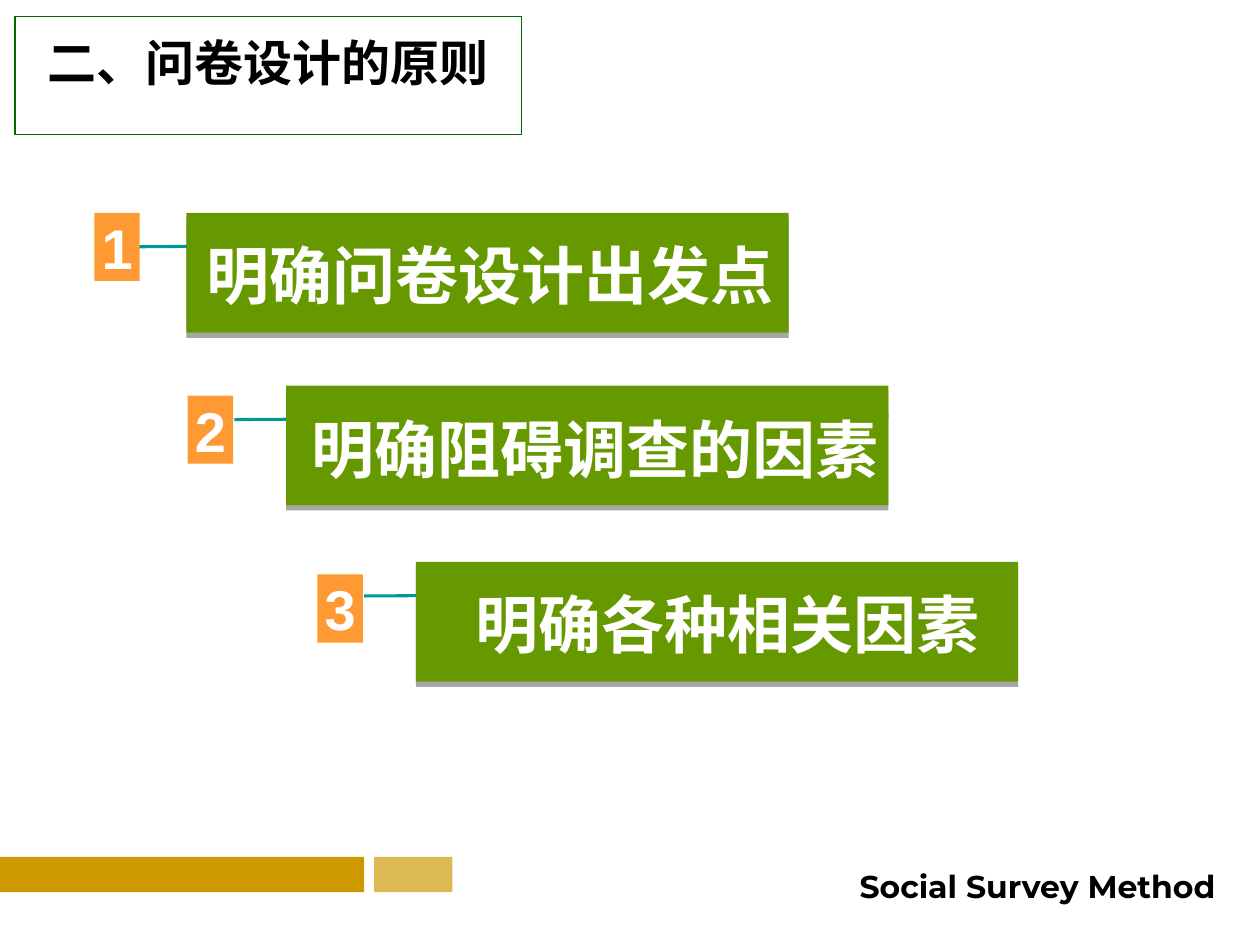
"""Build the slide on the principles of questionnaire design."""
from lxml import etree
from pptx import Presentation
from pptx.dml.color import RGBColor
from pptx.enum.shapes import MSO_CONNECTOR, MSO_SHAPE
from pptx.enum.text import MSO_ANCHOR, MSO_AUTO_SIZE, PP_ALIGN
from pptx.oxml import parse_xml
from pptx.oxml.ns import nsdecls, qn
from pptx.util import Pt

PX = 9144
RECT = MSO_SHAPE.RECTANGLE
STRAIGHT = MSO_CONNECTOR.STRAIGHT
TOP, MIDDLE, BOTTOM = MSO_ANCHOR.TOP, MSO_ANCHOR.MIDDLE, MSO_ANCHOR.BOTTOM
LEFT, CENTER = PP_ALIGN.LEFT, PP_ALIGN.CENTER
NO_FIT = MSO_AUTO_SIZE.NONE
SHADOW = (
    f'<a:effectLst {nsdecls("a")}><a:outerShdw blurRad="0" dist="38100" dir="5400000">'
    '<a:srgbClr val="000000"><a:alpha val="35000"/></a:srgbClr>'
    '</a:outerShdw></a:effectLst>'
)


def block(box, fill):
    shape = slide.shapes.add_shape(RECT, *[v * PX for v in box])
    shape.shadow.inherit = False
    shape.line.fill.background()
    if fill:
        shape.fill.solid()
        shape.fill.fore_color.rgb = RGBColor.from_string(fill)
    else:
        shape.fill.background()
    return shape


def write(shape, text, size, color, align=CENTER, anchor=TOP, font="Arial", wrap=True):
    frame = shape.text_frame
    frame.text = text
    frame.word_wrap = wrap
    frame.auto_size = NO_FIT
    frame.vertical_anchor = anchor
    paragraph = frame.paragraphs[0]
    paragraph.alignment = align
    paragraph.font.name = font
    paragraph.font.size = Pt(size)
    paragraph.font.bold = True
    paragraph.font.color.rgb = RGBColor.from_string(color)


prs = Presentation()
prs.slide_width, prs.slide_height = 1000 * PX, 750 * PX
slide = prs.slides.add_slide(prs.slide_layouts[5])

heading = slide.shapes.title
heading.left, heading.top, heading.width, heading.height = [v * PX for v in (28, 21, 464, 57)]
write(heading, "二、问卷设计的原则", 28, "000000", LEFT)

block((0, 680, 289, 28), "CC9900")
accent = block((297, 680, 62, 28), "CC9900")
accent_color = accent.fill._xPr.find(qn("a:solidFill"))[0]
etree.SubElement(accent_color, qn("a:alpha"), val="68000")

course = slide.shapes.add_textbox(*[v * PX for v in (657, 683, 333, 33)])
write(course, "Social Survey Method", 18, "000000", font="Montserrat", wrap=False)

heading_frame = block((12, 13, 402, 94), None)
heading_frame.line.color.rgb = RGBColor.from_string("006600")
heading_frame.line.width = Pt(0.75)

principles = [
    ("明确问卷设计出发点", (75, 169), (148, 169), (141, 147, 496), (92, 196, 610, 192)),
    ("明确阻碍调查的因素", (149, 314), (227, 306), (224, 285, 496), (186, 333, 705, 330)),
    ("明确各种相关因素", (252, 456), (330, 446), (358, 424, 439), (289, 473, 807, 470)),
]
for number, (principle, badge_at, bar_at, label_at, link_ends) in enumerate(principles, 1):
    link = slide.shapes.add_connector(STRAIGHT, *[v * PX for v in link_ends])
    link.line.color.rgb = RGBColor.from_string("009999")
    link.line.width = Pt(1.75)
    etree.SubElement(link._element.spPr, qn("a:effectLst"))

    bar = block((*bar_at, 478, 95), "669900")
    bar_properties = bar._element.spPr
    bar_properties.replace(bar_properties.find(qn("a:effectLst")), parse_xml(SHADOW))

    badge = block((*badge_at, 36, 54), "FF9933")
    inset = badge.text_frame
    inset.margin_left = inset.margin_right = inset.margin_top = inset.margin_bottom = 0
    write(badge, str(number), 32, "FFFFFF", anchor=MIDDLE, wrap=False)

    label = slide.shapes.add_textbox(*[v * PX for v in (*label_at, 106)])
    write(label, principle, 36, "FFFFFF", anchor=BOTTOM)

prs.save("out.pptx")
